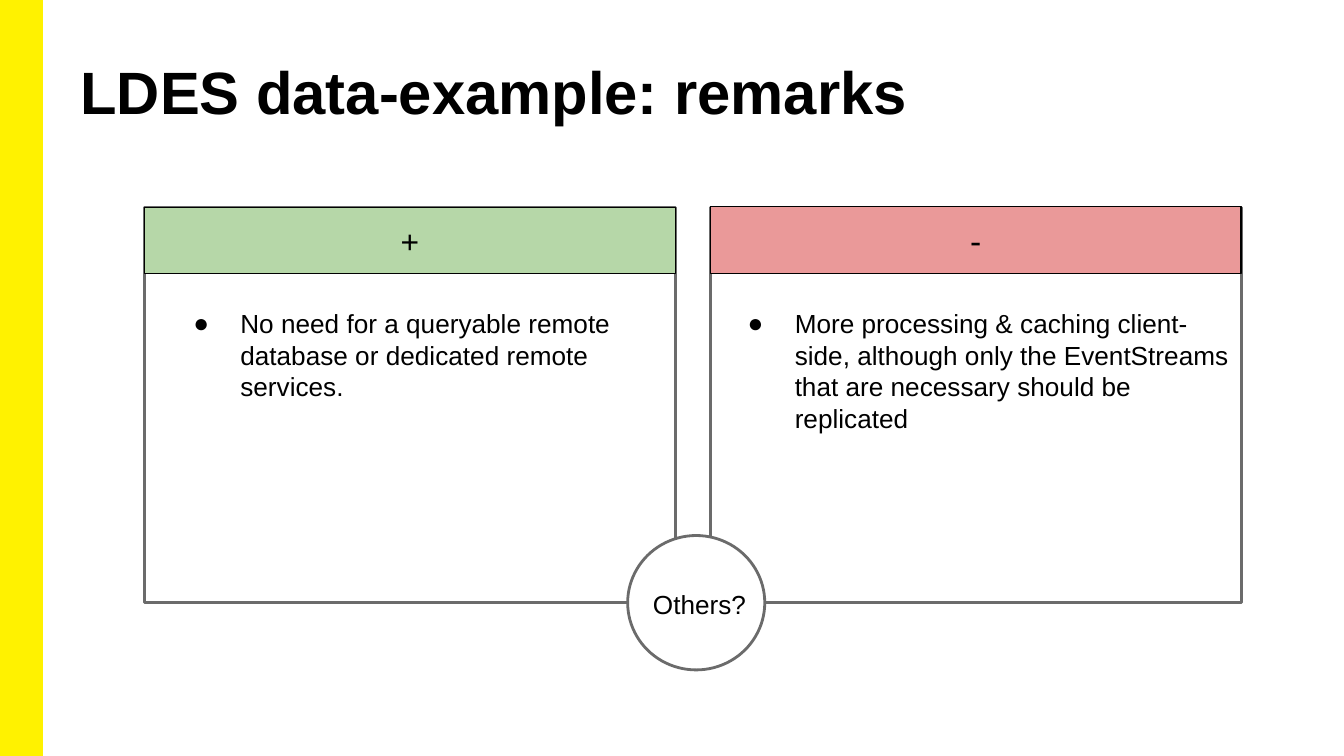
import pptx
import pptx.util
import pptx.dml.color
import pptx.enum.shapes
import pptx.enum.text
import pptx.oxml
import pptx.oxml.ns

SHAPE = pptx.enum.shapes.MSO_SHAPE
ALIGN = pptx.enum.text.PP_ALIGN
ANCHOR = pptx.enum.text.MSO_ANCHOR

# The slide is a 16:9 grid of 100 columns; rows are as tall as columns are wide.
CELL = pptx.util.Inches(0.1)
COLUMNS, ROWS = 100, 56.25
BLACK, WHITE, GREY, YELLOW = "000000", "FFFFFF", "6B6B6B", "FFF200"


def color(hex_string):
    return pptx.dml.color.RGBColor.from_string(hex_string)


def place(box):
    return [round(cells * CELL) for cells in box]


def add_panel(shapes, kind, box, fill, line, weight):
    panel = shapes.add_shape(kind, *place(box))
    panel.shadow.inherit = False
    panel.fill.solid()
    panel.fill.fore_color.rgb = color(fill)
    panel.line.color.rgb = color(line)
    panel.line.width = pptx.util.Pt(weight)
    return panel


def write(holder, text, size, anchor=ANCHOR.TOP, bold=False, spacing=None,
          align=ALIGN.LEFT, bullet=False):
    frame = holder.text_frame
    frame.text = text
    frame.word_wrap = True
    frame.vertical_anchor = anchor
    frame.margin_left = frame.margin_right = CELL
    frame.margin_top = frame.margin_bottom = CELL
    paragraph = frame.paragraphs[0]
    paragraph.alignment = align
    if spacing:
        paragraph.line_spacing = spacing
    if bullet:
        add_bullet(paragraph)
    font = paragraph.runs[0].font
    font.name, font.size, font.bold = "Arial", pptx.util.Pt(size), bold
    font.color.rgb = color(BLACK)


def add_bullet(paragraph):
    properties = paragraph._p.get_or_add_pPr()
    properties.set("marL", str(pptx.util.Inches(0.5)))
    properties.set("indent", str(pptx.util.Inches(-0.35)))
    namespace = pptx.oxml.ns.nsdecls("a")
    for element in (
        f'<a:buClr {namespace}><a:srgbClr val="{BLACK}"/></a:buClr>',
        f'<a:buFont {namespace} typeface="Arial"/>',
        f'<a:buChar {namespace} char="●"/>',
    ):
        properties.append(pptx.oxml.parse_xml(element))


def add_title(shapes, box, text):
    write(shapes.add_textbox(*place(box)), text, 32, bold=True, spacing=1.03)


def add_remark_frame(shapes, box):
    add_panel(shapes, SHAPE.RECTANGLE, box, WHITE, GREY, 1.5)


def add_remark_heading(shapes, box, sign, size, fill):
    heading = add_panel(shapes, SHAPE.RECTANGLE, box, fill, BLACK, 0.75)
    write(heading, sign, size, ANCHOR.MIDDLE, align=ALIGN.CENTER)


def add_remark(shapes, box, text):
    write(shapes.add_textbox(*place(box)), text, 14, bullet=True)


def add_question(shapes, box, text):
    left, top, width, height = box
    group = shapes.add_group_shape()
    add_panel(group.shapes, SHAPE.OVAL, box, WHITE, GREY, 1.5)
    label = group.shapes.add_textbox(
        *place((left + 0.9, top + 2.9, width - 0.9, height - 5.6)))
    write(label, text, 14)


def add_comparison(shapes, box):
    """Two framed remarks side by side, with a question over their gap."""
    left, top, width, height = box
    gap = 2.6
    column = (width - gap) / 2
    right = left + column + gap
    for x in (left, right):
        add_remark_frame(shapes, (x, top, column, height))
    add_remark_heading(shapes, (left, top, column, 4.9), "+", 17, "B6D7A8")
    add_remark_heading(shapes, (right, top - 0.1, column, 5), "-", 18, "EA9999")
    add_remark(shapes, (left + 1.15, top + 6.45, column - 2.5, 11.4),
               "No need for a queryable remote database or dedicated remote "
               "services.")
    add_remark(shapes, (right + 0.3, top + 6.45, column, 11.4),
               "More processing & caching client-side, although only the "
               "EventStreams that are necessary should be replicated")
    add_question(shapes, (left + 35.95, top + height - 5, 10.2, 10), "Others?")


def main():
    deck = pptx.Presentation()
    deck.slide_width, deck.slide_height = place((COLUMNS, ROWS))
    shapes = deck.slides.add_slide(deck.slide_layouts[6]).shapes
    add_panel(shapes, SHAPE.RECTANGLE, (0, 0, 3.1, ROWS), YELLOW, YELLOW, 1)
    add_title(shapes, (5, 2.9, 81.1, 7.3), "LDES data-example: remarks")
    add_comparison(shapes, (10.75, 15.45, 81.6, 29.4))
    deck.save("out.pptx")


if __name__ == "__main__":
    main()
